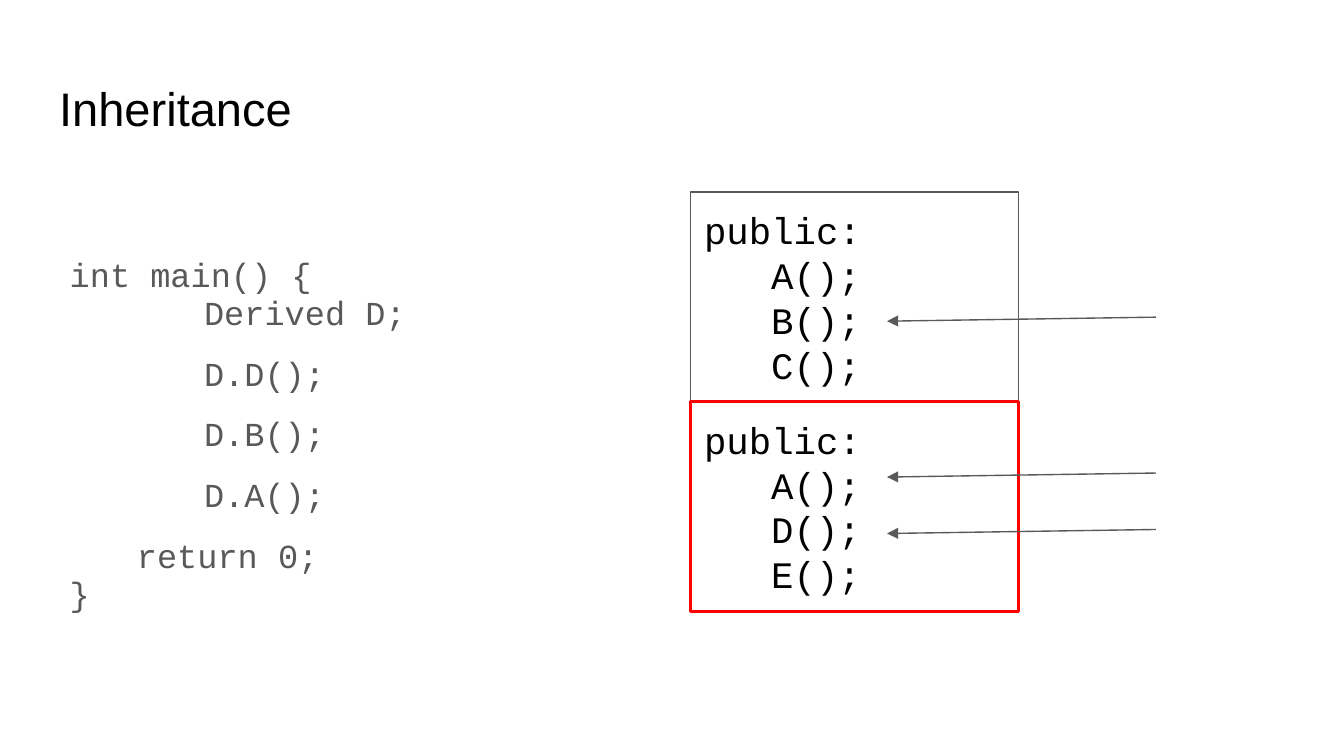
from lxml import etree
from pptx import Presentation
from pptx.dml.color import RGBColor
from pptx.enum.shapes import MSO_CONNECTOR, MSO_SHAPE
from pptx.enum.text import MSO_ANCHOR, PP_ALIGN
from pptx.oxml.ns import qn
from pptx.util import Inches, Pt

RECTANGLE = MSO_SHAPE.RECTANGLE
STRAIGHT = MSO_CONNECTOR.STRAIGHT
TOP, MIDDLE = MSO_ANCHOR.TOP, MSO_ANCHOR.MIDDLE
LEFT = PP_ALIGN.LEFT

BLACK, GRAY, RED = "000000", "595959", "FF0000"
CODE_FONT = "Courier New"


def color(value):
    return RGBColor.from_string(value)


def set_frame(frame, anchor):
    frame.word_wrap = True
    frame.vertical_anchor = anchor
    frame.margin_left = frame.margin_right = Inches(0.1)
    frame.margin_top = frame.margin_bottom = Inches(0.1)


def style_paragraph(para, font_name, size, value):
    para.alignment = LEFT
    para.font.name = font_name
    para.font.size = Pt(size)
    para.font.color.rgb = color(value)


def indent_first_line(para):
    properties = para._p.get_or_add_pPr()
    properties.set("marL", "0")
    properties.set("indent", str(Inches(0.5)))


def set_tab_stop(para, position):
    stops = etree.Element(qn("a:tabLst"))
    etree.SubElement(stops, qn("a:tab"), pos=str(Inches(position)), algn="l")
    para._p.get_or_add_pPr().find(qn("a:defRPr")).addprevious(stops)


def fill_code(frame, texts, size, value):
    for index, text in enumerate(texts):
        para = frame.paragraphs[0] if index == 0 else frame.add_paragraph()
        para.text = text
        style_paragraph(para, CODE_FONT, size, value)


def add_title(page, left, top, width, height):
    title = page.shapes.title
    title.left, title.top = Inches(left), Inches(top)
    title.width, title.height = Inches(width), Inches(height)
    set_frame(title.text_frame, TOP)
    title.text_frame.text = "Inheritance"
    style_paragraph(title.text_frame.paragraphs[0], "Arial", 25.2, BLACK)


def add_main_code(page, left, top, width, height):
    box = page.shapes.add_textbox(
        Inches(left), Inches(top), Inches(width), Inches(height))
    frame = box.text_frame
    set_frame(frame, TOP)
    calls = [f"\tD.{name}();" for name in "DBA"]
    texts = ["int main() {\v\tDerived D;", *calls, "return 0;\v}"]
    fill_code(frame, texts, 18, GRAY)
    for para in frame.paragraphs:
        para.line_spacing = 0.95
    for para in frame.paragraphs[1:]:
        para.space_before = Pt(12)
    for para in frame.paragraphs[:-1]:
        set_tab_stop(para, 1)
    last = frame.paragraphs[-1]
    last.space_after = Pt(12)
    indent_first_line(last)


def add_class_box(page, left, top, width, height, methods, line_color, weight):
    box = page.shapes.add_shape(
        RECTANGLE, Inches(left), Inches(top), Inches(width), Inches(height))
    box.shadow.inherit = False
    box.fill.background()
    box.line.color.rgb = color(line_color)
    box.line.width = Pt(weight)
    frame = box.text_frame
    set_frame(frame, MIDDLE)
    fill_code(frame, ["public:", *(f"{name}();" for name in methods)], 20, BLACK)
    for para in frame.paragraphs[1:]:
        indent_first_line(para)


def add_call_arrow(page, left, top, width, drop):
    arrow = page.shapes.add_connector(
        STRAIGHT, Inches(left + width), Inches(top),
        Inches(left), Inches(top + drop))
    arrow.line.color.rgb = color(GRAY)
    arrow.line.width = Pt(0.75)
    properties = arrow._element.spPr
    etree.SubElement(properties.find(qn("a:ln")), qn("a:tailEnd"), type="triangle")
    etree.SubElement(properties, qn("a:effectLst"))


def add_class_stack(page, left, top, width, height):
    half = height / 2
    add_class_box(page, left, top, width, half, "ABC", GRAY, 0.75)
    add_class_box(page, left, top + half, width, half, "ADE", RED, 1.5)
    for offset in (0.93, 2.09, 2.51):
        add_call_arrow(page, left + 1.46, top + offset, 2, 0.03)


def main():
    deck = Presentation()
    deck.slide_width = Inches(10)
    deck.slide_height = deck.slide_width * 9 // 16
    page = deck.slides.add_slide(deck.slide_layouts[5])
    add_title(page, 0.34, 0.49, 9.32, 0.63)
    add_main_code(page, 0.42, 1.81, 2.88, 2.93)
    add_class_stack(page, 5.14, 1.43, 2.44, 3.12)
    deck.save("out.pptx")


if __name__ == "__main__":
    main()
